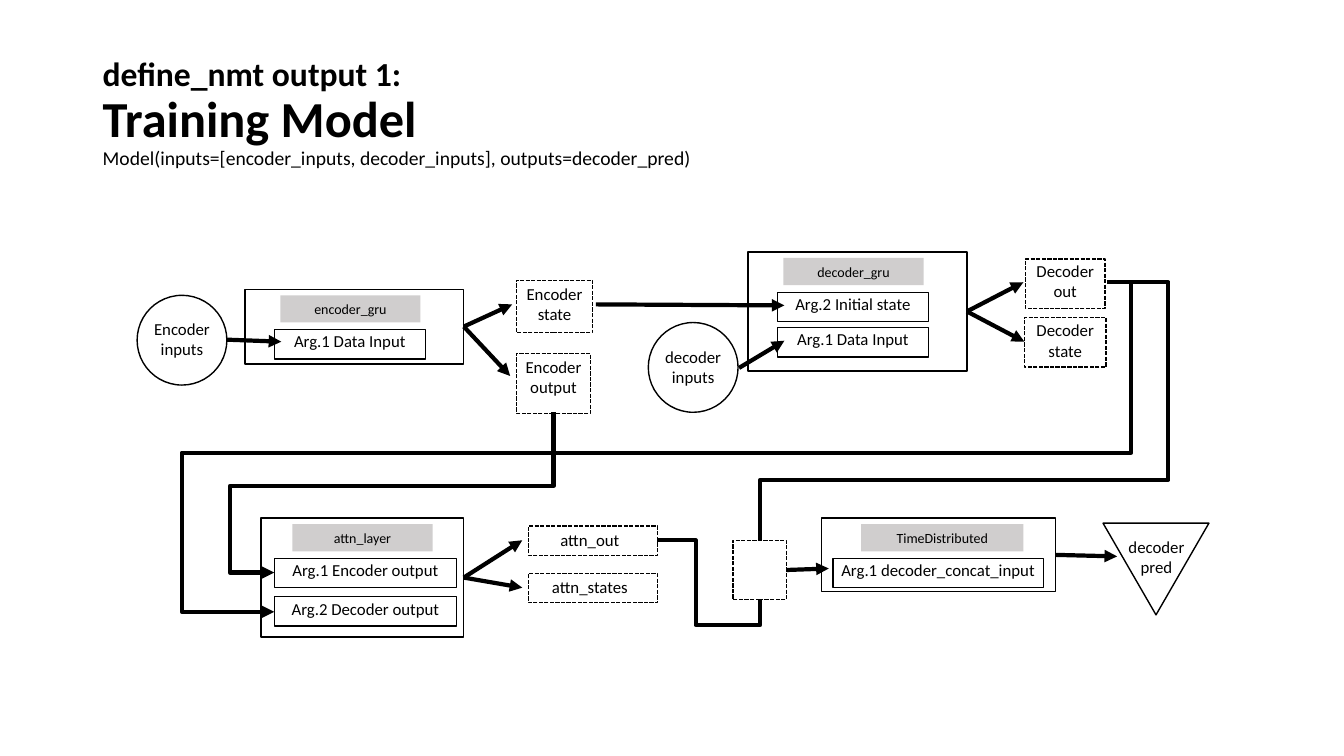
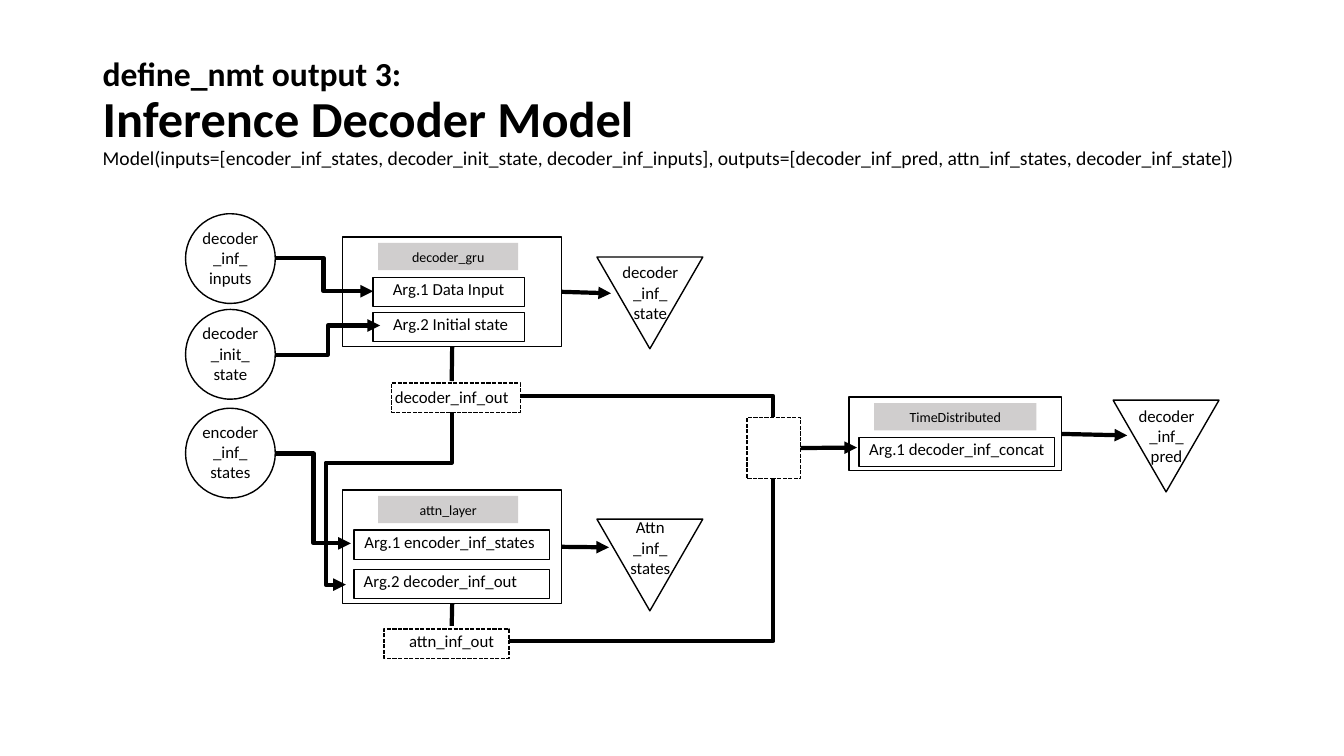
from pptx import Presentation
from pptx.dml.color import RGBColor
from pptx.enum.dml import MSO_LINE
from pptx.enum.shapes import MSO_CONNECTOR, MSO_SHAPE
from pptx.enum.text import MSO_ANCHOR, PP_ALIGN
from pptx.oxml.ns import qn
from pptx.util import Inches, Pt
from lxml.etree import SubElement

COLORS = {"ink": "000000", "tag": "D0CECE"}
FONT = "Calibri"
ROW_HEIGHT = 0.29
CIRCLE = 0.89
BOTTOM, RIGHT, LEFT = 2, 3, 1


def color(name):
    return RGBColor.from_string(COLORS[name])


def style(font, size, bold=False):
    font.name, font.size, font.bold = FONT, Pt(size), bold
    font.color.rgb = color("ink")


def write(shape, text, size=12, wrap=False, anchor=MSO_ANCHOR.MIDDLE,
          side=0, lift=0, nudge=0):
    """Centre text in a shape; lift moves it up and nudge moves it sideways."""
    frame = shape.text_frame
    frame.text = text
    frame.word_wrap = wrap
    frame.vertical_anchor = anchor
    frame.margin_left = Inches(side + max(0, 2 * nudge))
    frame.margin_right = Inches(side + max(0, -2 * nudge))
    frame.margin_top, frame.margin_bottom = 0, Inches(2 * lift)
    for para in frame.paragraphs:
        para.alignment = PP_ALIGN.CENTER
        style(para.font, size)


def outline(page, kind, left, top, width, height, dashed=False):
    shape = page.shapes.add_shape(kind, Inches(left), Inches(top), Inches(width), Inches(height))
    shape.shadow.inherit = False
    shape.fill.background()
    shape.line.color.rgb = color("ink")
    shape.line.width = Pt(1)
    if dashed:
        shape.line.dash_style = MSO_LINE.SQUARE_DOT
    return shape


# Nodes of the diagrams
def state(page, left, top, width, height, text="", lift=0.03, nudge=0):
    box = outline(page, MSO_SHAPE.RECTANGLE, left, top, width, height, dashed=True)
    if text:
        write(box, text, lift=lift, nudge=nudge)
    return box


def source(page, left, top, text):
    circle = outline(page, MSO_SHAPE.OVAL, left, top, CIRCLE, CIRCLE)
    write(circle, text, wrap=True, side=0.02, lift=0.01)


def result(page, left, top, text, text_drop=0.05):
    triangle = outline(page, MSO_SHAPE.ISOSCELES_TRIANGLE, left, top, 1.05, 0.91)
    triangle.rotation = 180
    label = page.shapes.add_textbox(Inches(left + 0.14), Inches(top + text_drop),
                                    Inches(0.78), Inches(0.61))
    write(label, text, wrap=True, anchor=MSO_ANCHOR.TOP, side=0.1)


def module(page, left, top, width, height, name, rows, inset, row_width,
           pitch=0.35, tag_left=0.35, tag_width=1.39):
    """Layer frame with a grey name tag and rows of (argument, nudge)."""
    frame = outline(page, MSO_SHAPE.RECTANGLE, left, top, width, height)
    tag = outline(page, MSO_SHAPE.RECTANGLE, left + tag_left, top + 0.06, tag_width, 0.27)
    tag.fill.solid()
    tag.fill.fore_color.rgb = color("tag")
    tag.line.fill.background()
    write(tag, name, size=10)
    for index, (text, nudge) in enumerate(rows):
        row = outline(page, MSO_SHAPE.RECTANGLE, left + inset, top + 0.4 + index * pitch,
                      row_width, ROW_HEIGHT)
        write(row, text, lift=0.03, nudge=nudge)
    return frame


# Connectors
def finish(connector, head):
    connector.line.color.rgb = color("ink")
    connector.line.width = Pt(3)
    properties = connector._element.spPr
    if head:
        SubElement(properties.find(qn("a:ln")), qn("a:tailEnd"), type="triangle")
    SubElement(properties, qn("a:effectLst"))


def straight(page, start, end, begin=None, head=True):
    """Straight line; begin is an optional (shape, side) to join."""
    connector = page.shapes.add_connector(MSO_CONNECTOR.STRAIGHT, *map(Inches, start + end))
    if begin:
        connector.begin_connect(*begin)
    finish(connector, head)


def elbow(page, start, turns, end, down=False, head=True):
    """Bent line; turns are the x and y values, in turn, where it bends.

    With down it leaves downwards and ends to the lower left.
    """
    (x1, y1), (x2, y2) = start, end
    corners = start + end
    if down:
        middle_x, middle_y = (x1 + x2) / 2, (y1 + y2) / 2
        half_width, half_height = (y2 - y1) / 2, (x1 - x2) / 2
        corners = (middle_x - half_width, middle_y - half_height,
                   middle_x + half_width, middle_y + half_height)
    connector = page.shapes.add_connector(MSO_CONNECTOR.ELBOW, *map(Inches, corners))
    properties = connector._element.spPr
    if down:
        properties.find(qn("a:xfrm")).set("rot", "5400000")
    geometry = properties.find(qn("a:prstGeom"))
    geometry.set("prst", f"bentConnector{len(turns) + 2}")
    guides = geometry.find(qn("a:avLst"))
    if guides is None:
        guides = SubElement(geometry, qn("a:avLst"))
    for index, turn in enumerate(turns):
        axis = (index + down) % 2
        share = (turn - start[axis]) / (end[axis] - start[axis])
        SubElement(guides, qn("a:gd"), name=f"adj{index + 1}",
                   fmla=f"val {round(share * 100000)}")
    finish(connector, head)


def heading(page, number, name, call):
    box = page.shapes.add_textbox(Inches(0.92), Inches(0.4), Inches(11.5), Inches(1.45))
    box.text_frame.word_wrap = True
    box.text_frame.vertical_anchor = MSO_ANCHOR.MIDDLE
    para = box.text_frame.paragraphs[0]
    para.line_spacing = 0.9
    lines = [(f"define_nmt output {number}:", 24, True), (name, 36, True), (call, 14, False)]
    for index, (text, size, bold) in enumerate(lines):
        if index:
            para.add_line_break()
        span = para.add_run()
        span.text = text
        style(span.font, size, bold)


def new_page(deck, *title):
    page = deck.slides.add_slide(deck.slide_layouts[6])
    heading(page, *title)
    return page


def training_page(deck):
    page = new_page(deck, 1, "Training Model",
                    "Model(inputs=[encoder_inputs, decoder_inputs], outputs=decoder_pred)")
    # Encoder
    source(page, 1.36, 2.93, "Encoder\ninputs")
    encoder = module(page, 2.43, 2.87, 2.17, 0.74, "encoder_gru",
                     [("Arg.1 Data Input", 0)], 0.29, 1.5)
    state(page, 5.12, 2.78, 0.76, 0.52, "Encoder\nstate")
    state(page, 5.12, 3.51, 0.74, 0.59, "Encoder\noutput", lift=0.07)
    straight(page, (2.25, 3.37), (2.79, 3.39))
    for end in [(5.08, 3.02), (5.06, 3.73)]:
        straight(page, (4.6, 3.24), end, (encoder, RIGHT))

    # Decoder
    source(page, 6.43, 3.2, "decoder\ninputs")
    decoder = module(page, 7.42, 2.5, 2.17, 1.18, "decoder_gru",
                     [("Arg.2 Initial state", 0), ("Arg.1 Data Input", 0)], 0.29, 1.5)
    state(page, 10.17, 2.57, 0.79, 0.49, "Decoder\nout")
    state(page, 10.16, 3.15, 0.81, 0.49, "Decoder\nstate", lift=0.02)
    straight(page, (5.91, 3.02), (7.78, 3.03))
    straight(page, (7.33, 3.65), (7.78, 3.38))
    for end in [(10.15, 2.8), (10.16, 3.39)]:
        straight(page, (9.59, 3.09), end, (decoder, RIGHT))

    # Attention
    attention = module(page, 2.59, 5.14, 2.01, 1.18, "attn_layer",
                       [("Arg.1 Encoder output", 0), ("Arg.2 Decoder output", 0)],
                       0.13, 1.81, pitch=0.38, tag_left=0.31)
    for top, text in [(5.22, "attn_out"), (5.69, "attn_states")]:
        state(page, 5.24, top, 1.28, 0.29, text, lift=0.01, nudge=-0.03)
    for end in [(5.18, 5.36), (5.18, 5.83)]:
        straight(page, (4.6, 5.73), end, (attention, RIGHT))
    elbow(page, (5.49, 4.09), [4.82, 2.28], (2.72, 5.68), down=True)
    elbow(page, (10.98, 2.8), [11.22, 4.49, 1.8], (2.72, 6.07))

    # Concatenation and prediction
    concat = state(page, 7.27, 5.36, 0.53, 0.59)
    dense = module(page, 8.15, 5.14, 2.32, 0.73, "TimeDistributed",
                   [("Arg.1 decoder_concat_input", 0)], 0.11, 2.09,
                   tag_left=0.39, tag_width=1.61)
    result(page, 10.94, 5.19, "decoder\npred", text_drop=0.13)
    elbow(page, (6.52, 5.36), [6.9, 6.2], (7.54, 5.95), head=False)
    elbow(page, (10.98, 2.8), [11.59, 4.76], (7.54, 5.36), head=False)
    straight(page, (7.8, 5.65), (8.22, 5.64), (concat, RIGHT))
    straight(page, (10.46, 5.51), (11.08, 5.52), (dense, RIGHT))


def inference_page(deck):
    page = new_page(deck, 3, "Inference Decoder Model",
                    "Model(inputs=[encoder_inf_states, decoder_init_state, decoder_inf_inputs], "
                    "outputs=[decoder_inf_pred, attn_inf_states, decoder_inf_state])")
    # Inputs
    for top, text in [(2.12, "decoder_inf_\ninputs"), (3.07, "decoder_init_\nstate"),
                      (4.05, "encoder_inf_\nstates")]:
        source(page, 1.84, top, text)

    # Decoder
    decoder = module(page, 3.4, 2.35, 2.17, 1.09, "decoder_gru",
                     [("Arg.1 Data Input", 0), ("Arg.2 Initial state", 0.02)], 0.3, 1.5)
    state(page, 3.88, 3.8, 1.28, 0.29, "decoder_inf_out", lift=0.01, nudge=-0.04)
    result(page, 5.92, 2.55, "decoder_inf_\nstate")
    elbow(page, (2.73, 2.56), [3.21], (3.7, 2.89))
    elbow(page, (2.73, 3.52), [3.25], (3.77, 3.23))
    straight(page, (4.48, 3.44), (4.48, 3.78), (decoder, BOTTOM), head=False)
    straight(page, (5.57, 2.9), (6.06, 2.91), (decoder, RIGHT))

    # Attention
    attention = module(page, 3.4, 4.86, 2.17, 1.13, "attn_layer",
                       [("Arg.1 encoder_inf_states", -0.02), ("Arg.2 decoder_inf_out", -0.11)],
                       0.11, 1.94, pitch=0.39)
    state(page, 3.81, 6.24, 1.24, 0.29, "attn_inf_out", nudge=0.05)
    result(page, 5.92, 5.15, "Attn\n_inf_\nstates", text_drop=-0.02)
    elbow(page, (2.73, 4.5), [3.11], (3.48, 5.39))
    elbow(page, (4.48, 4.09), [4.59, 3.23], (3.43, 5.8), down=True)
    straight(page, (4.48, 6), (4.48, 6.21), (attention, BOTTOM), head=False)
    straight(page, (5.57, 5.43), (6.04, 5.43), (attention, RIGHT))

    # Concatenation and prediction
    concat = state(page, 7.41, 4.14, 0.53, 0.61)
    dense = module(page, 8.42, 3.94, 2.11, 0.73, "TimeDistributed",
                   [("Arg.1 decoder_inf_concat", 0)], 0.1, 1.94,
                   tag_left=0.25, tag_width=1.61)
    result(page, 11.04, 3.97, "decoder_inf_\npred")
    elbow(page, (5.16, 3.93), [], (7.67, 4.14), head=False)
    elbow(page, (5.05, 6.36), [], (7.67, 4.75), head=False)
    straight(page, (7.94, 4.44), (8.5, 4.44), (concat, RIGHT))
    straight(page, (10.53, 4.31), (11.18, 4.32), (dense, RIGHT))


def main():
    deck = Presentation()
    deck.slide_width, deck.slide_height = Inches(13.33), Inches(7.5)
    training_page(deck)
    inference_page(deck)
    deck.save("out.pptx")


if __name__ == "__main__":
    main()
